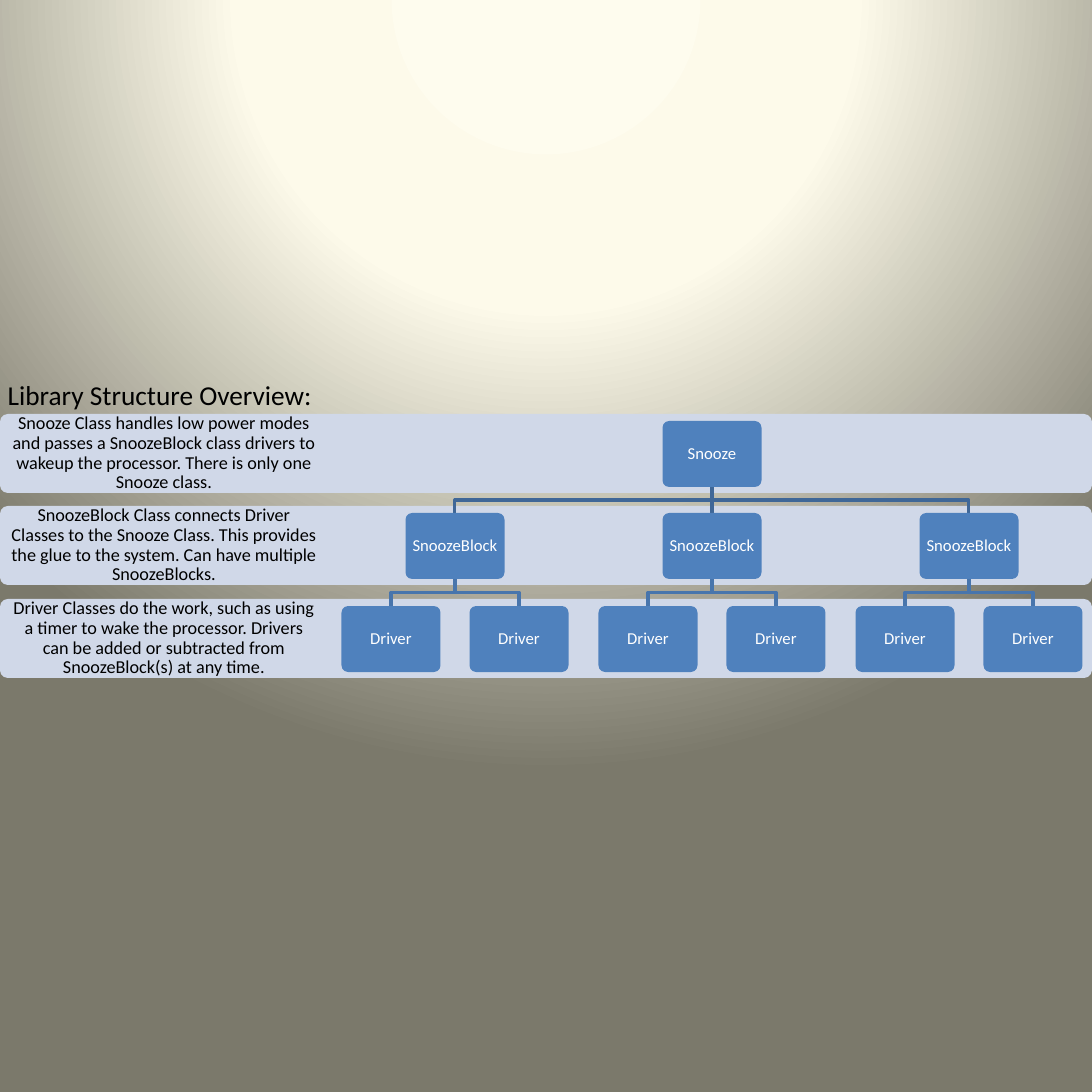
from pptx import Presentation, util as u
from pptx.dml.color import RGBColor
from pptx.enum import shapes, text
from pptx.oxml import parse_xml
from pptx.oxml.ns import nsdecls, qn

TITLE = "Library Structure Overview:"
BANDS = [  # top, description
    (414, "Snooze Class handles low power modes and passes a SnoozeBlock class "
          "drivers to wakeup the processor. There is only one Snooze class."),
    (506, "SnoozeBlock Class connects Driver Classes to the Snooze Class. This "
          "provides the glue to the system. Can have multiple SnoozeBlocks."),
    (599, "Driver Classes do the work, such as using a timer to wake the processor. "
          "Drivers can be added or subtracted from SnoozeBlock(s) at any time."),
]
NODE = "Driver"
TREE = ("Snooze", [("SnoozeBlock", [(NODE, []), (NODE, [])]) for _ in range(3)])
LEVEL_GAPS = [257, 128]  # between siblings below each level
LINK_COLORS = ["3F6797", "4875AC"]
BG_STOPS = [(0, "FEFCEE"), (40, "FDFAEA"), (100, "7B796B")]

SIDE, BAND_H, TEXT_W, INSET = 1092, 79, 328, 10
BOX_W, BOX_H, BOX_DROP, ROOT_X = 99, 66, 7, 712
SCALE = u.Inches(10) / SIDE


def px(n):
    """Turn pixels into EMU."""
    return u.Emu(round(n * SCALE))


def rgb(color):
    """Turn a hex string into a colour."""
    return RGBColor.from_string(color)


def write(sp, words, size, color, align=text.PP_ALIGN.CENTER, spacing=0.9):
    """Put one formatted paragraph into a shape."""
    p = sp.text_frame.paragraphs[0]
    p.text, p.alignment, p.line_spacing = words, align, spacing
    p.font.name, p.font.size = "Calibri", u.Pt(size)
    p.font.color.rgb = rgb(color)


def rounded(x, y, w, h, color):
    """Add a plain rounded rectangle."""
    sp = s.shapes.add_shape(shapes.MSO_SHAPE.ROUNDED_RECTANGLE,
                            px(x), px(y), px(w), px(h))
    sp.adjustments[0] = 0.1
    sp.shadow.inherit = False
    sp.fill.solid()
    sp.fill.fore_color.rgb = rgb(color)
    sp.line.fill.background()
    return sp


def textbox(x, y, w, h):
    """Add a wrapping text box."""
    sp = s.shapes.add_textbox(px(x), px(y), px(w), px(h))
    sp.text_frame.word_wrap = True
    return sp


def add_band(top, words):
    """Add a band with its description at the left."""
    rounded(0, top, SIDE, BAND_H, "D0D8E8")
    sp = textbox(0, top, TEXT_W, BAND_H)
    tf = sp.text_frame
    tf.vertical_anchor = text.MSO_ANCHOR.MIDDLE
    tf.margin_left = tf.margin_right = tf.margin_top = tf.margin_bottom = px(INSET)
    write(sp, words, 12, "000000")


def link(x1, y1, x2, y2, color):
    """Join parent to child, with a bend halfway unless straight below."""
    if x1 == x2:
        sp = s.shapes.add_connector(shapes.MSO_CONNECTOR.STRAIGHT,
                                    px(x1), px(y1), px(x2), px(y2))
        sp._element.spPr.append(parse_xml(f"<a:effectLst {nsdecls('a')}/>"))
    else:
        mid = (y1 + y2) / 2
        path = [(px(x), px(y)) for x, y in [(x1, mid), (x2, mid), (x2, y2)]]
        builder = s.shapes.build_freeform(px(x1), px(y1))
        builder.add_line_segments(path, close=False)
        sp = builder.convert_to_shape()
        sp.fill.background()
        sp.shadow.inherit = False
    sp.line.color.rgb = rgb(color)
    sp.line.width = u.Pt(2)


def add_node(node, x, level=0):
    """Add a class box centred on x, with everything below it."""
    name, children = node
    top = BANDS[level][0] + BOX_DROP
    for i, child in enumerate(children):
        child_x = x + (i - (len(children) - 1) / 2) * LEVEL_GAPS[level]
        link(x, top + BOX_H, child_x, BANDS[level + 1][0] + BOX_DROP,
             LINK_COLORS[level])
        add_node(child, child_x, level + 1)
    sp = rounded(x - BOX_W / 2, top, BOX_W, BOX_H, "4F81BD")
    sp.text_frame.word_wrap = False
    sp.text_frame.vertical_anchor = text.MSO_ANCHOR.MIDDLE
    write(sp, name, 11, "FFFFFF")


def paint_background():
    """Fill the background with a circular gradient centred above the slide."""
    s.background.fill.gradient()
    grad = s.element.find(".//" + qn("a:gradFill"))
    for child in list(grad):
        grad.remove(child)
    stops = "".join(f'<a:gs pos="{pos * 1000}"><a:srgbClr val="{color}"/></a:gs>'
                    for pos, color in BG_STOPS)
    grad.append(parse_xml(f"<a:gsLst {nsdecls('a')}>{stops}</a:gsLst>"))
    grad.append(parse_xml(
        f'<a:path {nsdecls("a")} path="circle">'
        '<a:fillToRect l="50000" t="-80000" r="50000" b="180000"/></a:path>'))


prs = Presentation()
prs.slide_width = prs.slide_height = px(SIDE)
s = prs.slides.add_slide(prs.slide_layouts[6])
paint_background()
for top, words in BANDS:
    add_band(top, words)
add_node(TREE, ROOT_X)
write(textbox(-3, 373, 1095, 44), TITLE, 18, "000000", text.PP_ALIGN.LEFT, 1.0)
prs.save("out.pptx")
